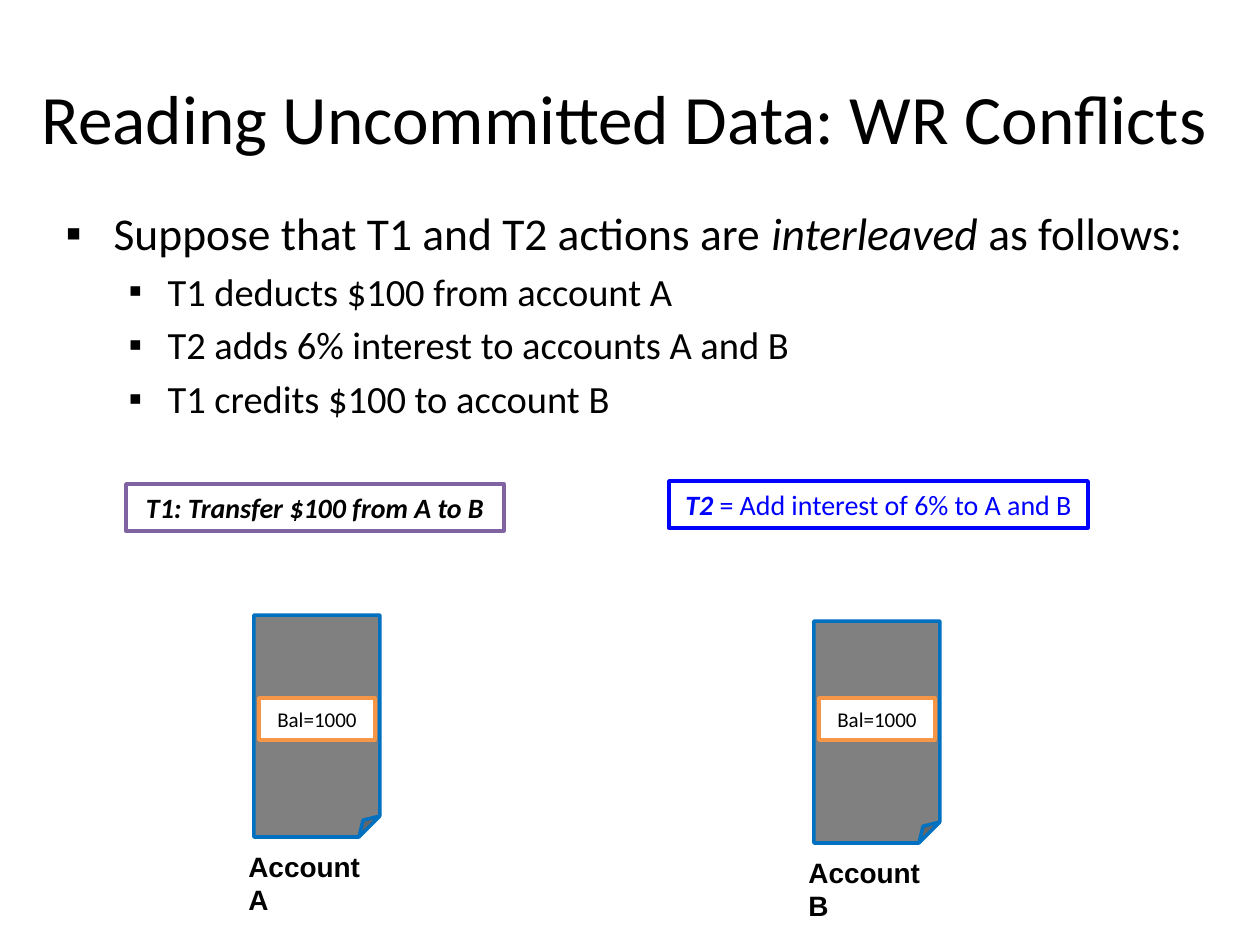
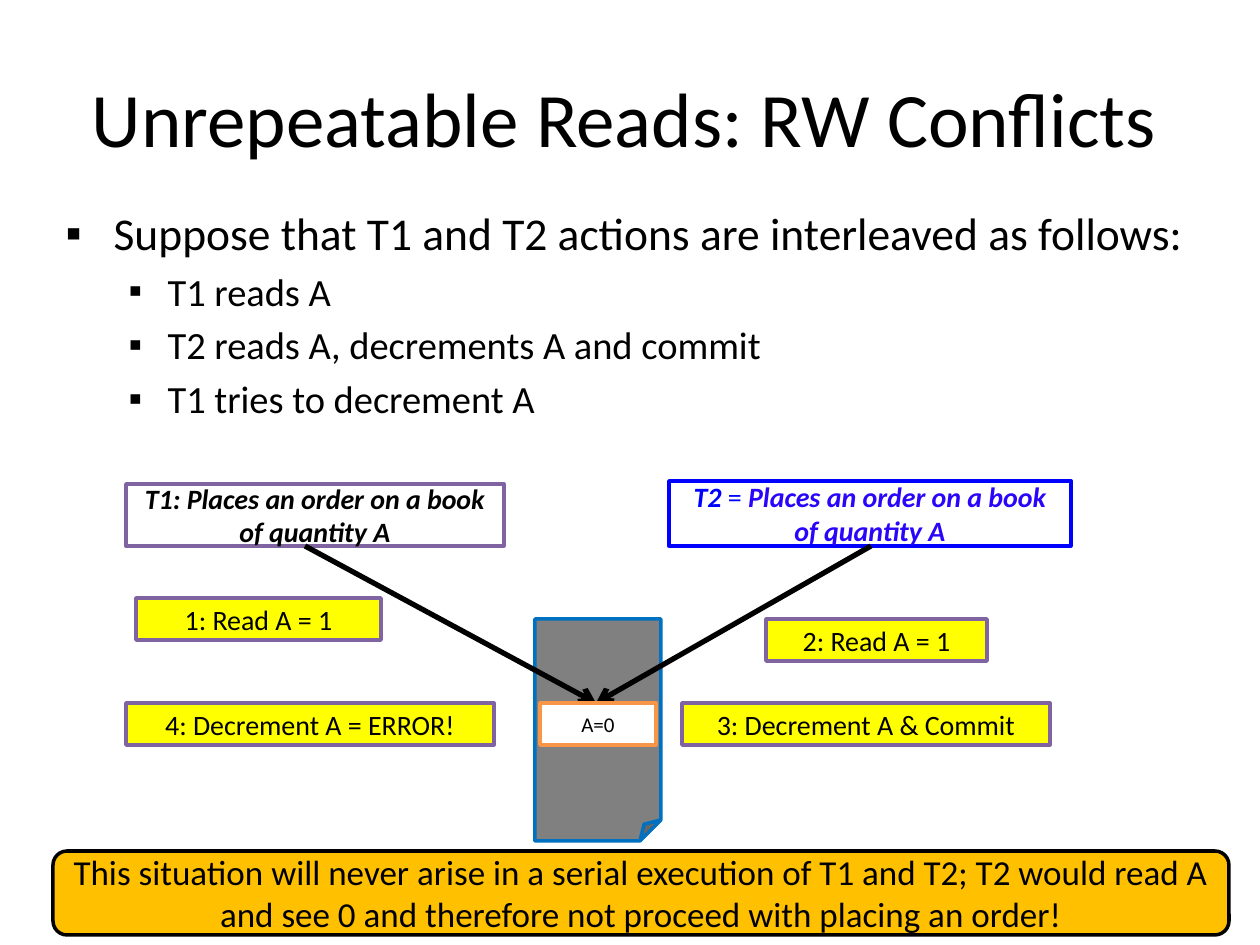
from lxml import etree
from pptx import Presentation, util as u
from pptx.dml import color
from pptx.enum import shapes, text
from pptx.oxml import ns

PX = 914400 / 126
BLACK, WHITE, GREY, YELLOW, AMBER = "000000", "FFFFFF", "808080", "FFFF00", "FFC000"
PURPLE, BLUE, VIOLET, SKY, ORANGE = "8064A2", "0000FF", "2906FA", "0070C0", "F79646"
STRONG = {"bold": True, "italic": True}
T1_X, T2_X, T1_Y, T2_Y = 126, 669, 484, 481
PAGE_W, PAGE_H = 126, 222
VALUE_W, BAR_H = 116, 42


def emu(px):
    return u.Emu(round(px * PX))


def rgb(code):
    return color.RGBColor.from_string(code)


class Slides:
    """Holds the shared style and the slide being built."""
    font = "Calibri"
    list_levels = [{"size": 26, "margin": 48, "hang": 48},
                   {"size": 22, "margin": 102, "hang": 39}]

    def __init__(self):
        self.deck = Presentation()
        self.deck.slide_width, self.deck.slide_height = emu(1260), emu(945)
        self.slide = None

    def start(self, title, size, items):
        """Add a slide with a title and a list of (level, spans) items."""
        self.slide = self.deck.slides.add_slide(self.deck.slide_layouts[1])
        head, body = self.slide.placeholders
        self.place(head, 10, 38, 1229, 157)
        self.place(body, 53, 199, 1191, 725)
        for box in (head, body):
            box.text_frame.auto_size = text.MSO_AUTO_SIZE.NONE
        head.text_frame.vertical_anchor = text.MSO_ANCHOR.MIDDLE
        self.add_spans(head.text_frame.paragraphs[0], [title], size=size)
        for index, (level, spans) in enumerate(items):
            frame = body.text_frame
            para = frame.add_paragraph() if index else frame.paragraphs[0]
            style = self.list_levels[level]
            para.level = level
            self.bullet(para, style)
            if not index:
                para.space_before = u.Pt(0)
            self.add_spans(para, spans, size=style["size"])

    def place(self, box, *bounds):
        for name, value in zip(("left", "top", "width", "height"), bounds):
            setattr(box, name, emu(value))

    def bullet(self, para, style):
        props = para._p.get_or_add_pPr()
        props.set("marL", str(emu(style["margin"])))
        props.set("indent", str(-emu(style["hang"])))
        etree.SubElement(props, ns.qn("a:buFont")).set("typeface", "Arial")
        etree.SubElement(props, ns.qn("a:buChar")).set("char", "▪")

    def add_spans(self, para, spans, ink=BLACK, **base):
        """Fill a paragraph with strings or (string, format) pairs."""
        for item in spans:
            words, extra = (item, {}) if isinstance(item, str) else item
            look = {"name": self.font, "ink": ink, **base, **extra}
            span = para.add_run()
            span.text = words
            span.font.color.rgb = rgb(look.pop("ink"))
            look["size"] = u.Pt(look["size"])
            for name, value in look.items():
                setattr(span.font, name, value)

    def shape(self, kind, bounds, fill, line, spans=(), size=16, ink=BLACK):
        box = self.slide.shapes.add_shape(kind, *map(emu, bounds))
        box.shadow.inherit = False
        box.fill.solid()
        box.fill.fore_color.rgb = rgb(fill)
        box.line.color.rgb = rgb(line)
        box.line.width = u.Pt(2)
        if spans:
            frame = box.text_frame
            frame.word_wrap = True
            frame.vertical_anchor = text.MSO_ANCHOR.MIDDLE
            para = frame.paragraphs[0]
            para.alignment = text.PP_ALIGN.CENTER
            self.add_spans(para, spans, ink, size=size)

    def panel(self, bounds, spans, line=PURPLE, fill=WHITE, **look):
        self.shape(shapes.MSO_SHAPE.RECTANGLE, bounds, fill, line, spans, **look)

    def page(self, left, top):
        self.shape(shapes.MSO_SHAPE.FOLDED_CORNER, (left, top, PAGE_W, PAGE_H), GREY, SKY)

    def value(self, left, top, words):
        self.panel((left, top, VALUE_W, BAR_H), [words], ORANGE, size=12)

    def label(self, bounds, words):
        box = self.slide.shapes.add_textbox(*map(emu, bounds))
        box.text_frame.word_wrap = True
        self.add_spans(box.text_frame.paragraphs[0], [words],
                       name="Arial", size=16, bold=True)

    def arrow(self, start, end):
        link = self.slide.shapes.add_connector(
            shapes.MSO_CONNECTOR.STRAIGHT, *map(emu, start + end))
        link.line.color.rgb = rgb(BLACK)
        link.line.width = u.Pt(3)
        props = link._element.spPr
        tip = etree.SubElement(props.find(ns.qn("a:ln")), ns.qn("a:tailEnd"))
        tip.set("type", "arrow")
        etree.SubElement(props, ns.qn("a:effectLst"))


def dirty_read(show):
    show.start("Reading Uncommitted Data: WR Conflicts", 39.6, [
        (0, ["Suppose that T1 and T2 actions are ", ("interleaved", {"italic": True}),
             " as follows:"]),
        (1, ["T1 deducts $100 from account A"]),
        (1, ["T2 adds 6% interest to accounts A and B"]),
        (1, ["T1 credits $100 to account B"])])
    for name, left, top in (("A", 254, 615), ("B", 814, 621)):
        show.page(left, top)
        show.value(left + 5, 698, "Bal=1000")
        show.label((left - 18, top + 228, 159, 50), f"Account {name}")
    show.panel((T1_X, T1_Y, 378, 47), [("T1: Transfer $100 from A to B", STRONG)])
    show.panel((T2_X, T2_Y, 419, 47),
               [("T2 ", STRONG), "= Add interest of 6% to A and B"], BLUE, ink=BLUE)


def unrepeatable_read(show):
    show.start("Unrepeatable Reads: RW Conflicts", 44, [
        (0, ["Suppose that T1 and T2 actions are interleaved as follows:"]),
        (1, ["T1 reads A"]),
        (1, ["T2 reads A, decrements A and commit"]),
        (1, ["T1 tries to decrement A"])])
    order = "Places an order on a book of quantity A"
    show.page(535, 619)
    show.panel((T1_X, T1_Y, 378, 62), [(f"T1: {order}", STRONG)])
    show.panel((T2_X, T2_Y, 402, 65),
               [("T2 ", STRONG), "= ", (order, {**STRONG, "ink": VIOLET})], BLUE, ink=BLUE)
    for left in (305, 871):
        show.arrow((left, 546), (596, 703))
    show.value(540, 703, "A=0")
    steps = [(136, 598, 245, "1: Read A = 1"),
             (766, 619, 221, "2: Read A = 1"),
             (682, 703, 368, "3: Decrement A & Commit"),
             (126, 703, 368, "4: Decrement A = ERROR!")]
    for left, top, width, words in steps:
        show.panel((left, top, width, BAR_H), [words], fill=YELLOW)
    show.shape(shapes.MSO_SHAPE.ROUNDED_RECTANGLE, (53, 851, 1176, 84), AMBER, BLACK,
               ["This situation will never arise in a serial execution of T1 and T2; "
                "T2 would read A and see 0 and therefore not proceed with placing an order!"],
               size=20)


def main():
    show = Slides()
    dirty_read(show)
    unrepeatable_read(show)
    show.deck.save("out.pptx")


if __name__ == "__main__":
    main()
